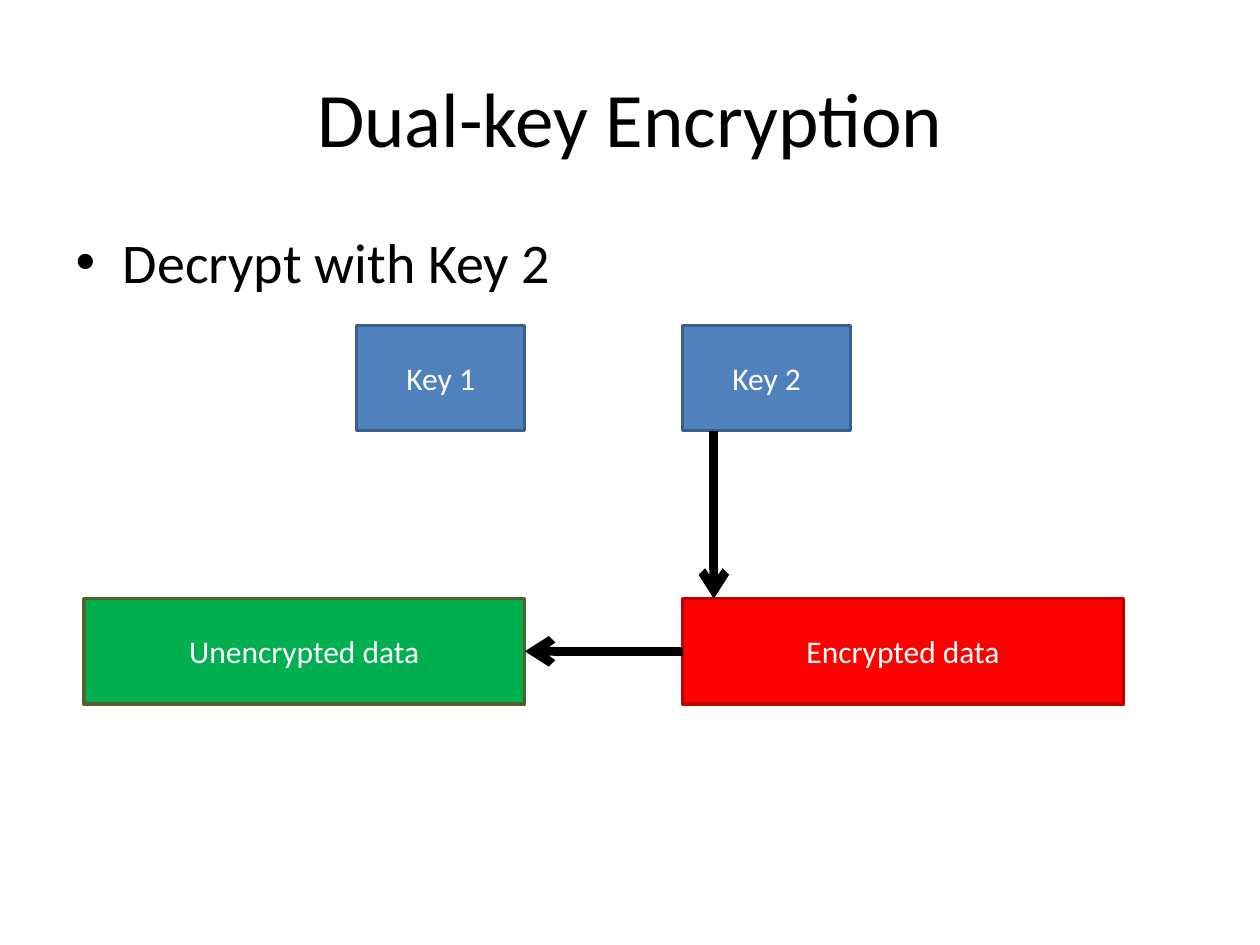
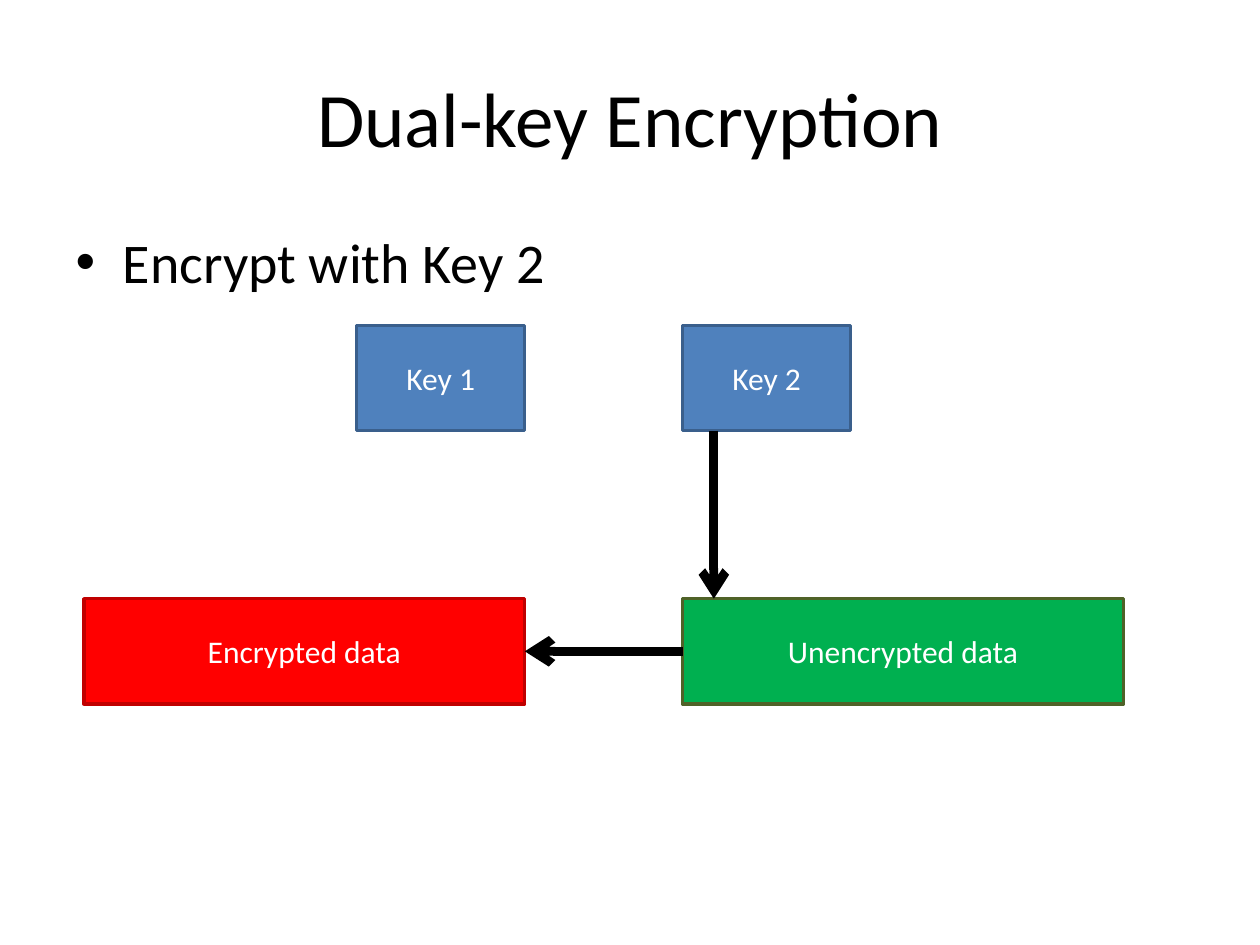
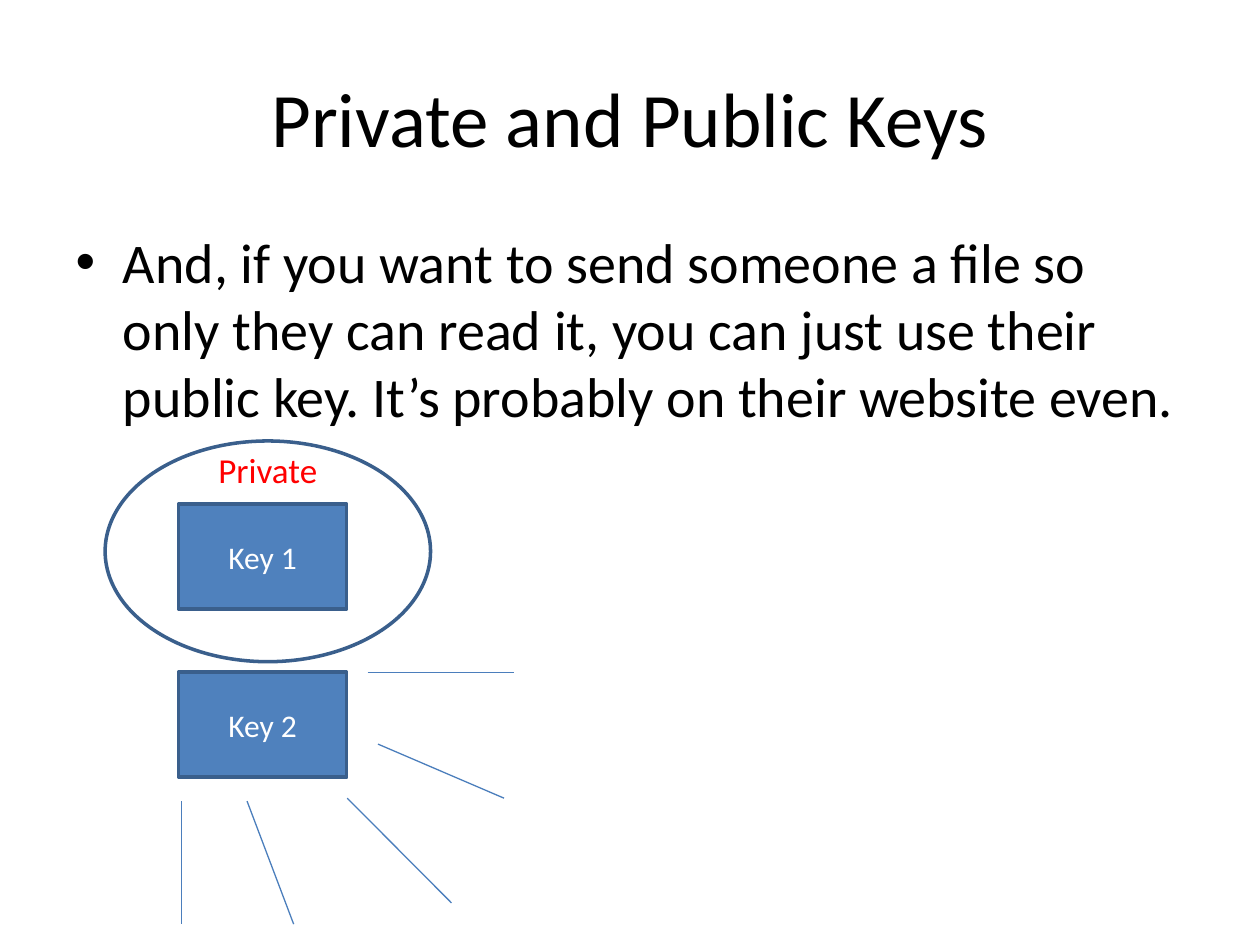
import dataclasses

import lxml.etree
import pptx
import pptx.dml.color
import pptx.enum.shapes
import pptx.enum.text
import pptx.oxml.ns
import pptx.util

Cm = pptx.util.Cm
Shape = pptx.enum.shapes.MSO_SHAPE


@dataclasses.dataclass(frozen=True)
class Theme:
    font: str = "Calibri"
    ink: str = "000000"
    paper: str = "FFFFFF"
    key_fill: str = "4F81BD"
    key_edge: str = "3A5F8C"
    plain_fill: str = "00B050"
    plain_edge: str = "4F6228"
    secret_fill: str = "FF0000"
    secret_edge: str = "C00000"
    ray: str = "4B7EBC"
    title_size: float = 44
    body_size: float = 32
    private_size: float = 20
    box_size: float = 18
    edge_width: float = 2
    arrow_width: float = 5
    ray_width: float = 0.75


def rgb(value):
    return pptx.dml.color.RGBColor.from_string(value)


class Deck:
    key_width, box_height, data_width = 3.39, 2.12, 8.89

    def __init__(self, theme):
        self.theme = theme
        self.deck = pptx.Presentation()
        self.deck.slide_width = Cm(25.4)
        self.deck.slide_height = Cm(19.05)
        self.page = None

    def place(self, shape, left, top, width, height):
        shape.left, shape.top = Cm(left), Cm(top)
        shape.width, shape.height = Cm(width), Cm(height)

    def set_text(self, shape, text, size, color, align):
        shape.text_frame.text = text
        shape.text_frame.word_wrap = True
        for para in shape.text_frame.paragraphs:
            para.alignment = align
            for span in para.runs:
                span.font.name = self.theme.font
                span.font.size = pptx.util.Pt(size)
                span.font.color.rgb = rgb(color)

    def center(self, shape, text, size, color):
        self.set_text(shape, text, size, color, pptx.enum.text.PP_ALIGN.CENTER)
        shape.text_frame.vertical_anchor = pptx.enum.text.MSO_ANCHOR.MIDDLE

    def add_page(self, title, bullet):
        self.page = self.deck.slides.add_slide(self.deck.slide_layouts[1])
        heading, body = self.page.placeholders
        self.place(heading, 1.27, 0.76, 22.86, 3.18)
        self.center(heading, title, self.theme.title_size, self.theme.ink)
        self.place(body, 1.27, 4.45, 22.86, 12.57)
        self.set_text(body, bullet, self.theme.body_size, self.theme.ink,
                      pptx.enum.text.PP_ALIGN.LEFT)

    def outline(self, kind, left, top, width, height, edge):
        shape = self.page.shapes.add_shape(
            kind, Cm(left), Cm(top), Cm(width), Cm(height))
        shape.shadow.inherit = False
        shape.fill.background()
        shape.line.color.rgb = rgb(edge)
        shape.line.width = pptx.util.Pt(self.theme.edge_width)
        return shape

    def box(self, text, left, top, width, fill, edge):
        shape = self.outline(
            Shape.RECTANGLE, left, top, width, self.box_height, edge)
        shape.fill.solid()
        shape.fill.fore_color.rgb = rgb(fill)
        self.center(shape, text, self.theme.box_size, self.theme.paper)

    def key(self, number, left, top):
        self.box(f"Key {number}", left, top, self.key_width,
                 self.theme.key_fill, self.theme.key_edge)

    def data(self, encrypted, left, top):
        if encrypted:
            look = "Encrypted data", self.theme.secret_fill, self.theme.secret_edge
        else:
            look = "Unencrypted data", self.theme.plain_fill, self.theme.plain_edge
        text, fill, edge = look
        self.box(text, left, top, self.data_width, fill, edge)

    def label(self, text, left, top, width, height, size, color):
        box = self.page.shapes.add_textbox(
            Cm(left), Cm(top), Cm(width), Cm(height))
        self.center(box, text, size, color)

    def line(self, start, end, color, width):
        connector = self.page.shapes.add_connector(
            pptx.enum.shapes.MSO_CONNECTOR.STRAIGHT,
            *(Cm(value) for value in (*start, *end)))
        connector.line.color.rgb = rgb(color)
        connector.line.width = pptx.util.Pt(width)
        lxml.etree.SubElement(connector.element.spPr,
                              pptx.oxml.ns.qn("a:effectLst"))
        return connector

    def arrow(self, start, end):
        connector = self.line(start, end, self.theme.ink, self.theme.arrow_width)
        edge = connector.element.spPr.find(pptx.oxml.ns.qn("a:ln"))
        lxml.etree.SubElement(edge, pptx.oxml.ns.qn("a:tailEnd"), type="arrow")

    def ray(self, start, end):
        self.line(start, end, self.theme.ray, self.theme.ray_width)

    def dual_key_page(self, bullet, from_encrypted):
        self.add_page("Dual-key Encryption", bullet)
        key_top, data_top = 6.56, 12.07
        left_end, right_start, key_arrow = 10.58, 13.76, 14.39
        middle = data_top + self.box_height / 2
        self.key(1, left_end - self.key_width, key_top)
        self.key(2, right_start, key_top)
        self.data(not from_encrypted, left_end - self.data_width, data_top)
        self.data(from_encrypted, right_start, data_top)
        self.arrow((right_start, middle), (left_end, middle))
        self.arrow((key_arrow, key_top + self.box_height), (key_arrow, data_top))

    def public_key_page(self):
        self.add_page(
            "Private and Public Keys",
            "And, if you want to send someone a file so only they can read it, "
            "you can just use their public key. It’s probably on their "
            "website even.")
        for number, top in enumerate((10.16, 13.55), 1):
            self.key(number, 3.6, top)
        left, top, width = 2.12, 8.89, 6.56
        self.outline(Shape.OVAL, left, top, width, 4.45, self.theme.key_edge)
        self.label("Private", left, top, width, 1.16,
                   self.theme.private_size, self.theme.secret_fill)
        for start, end in (
            ((7.41, 13.55), (10.37, 13.55)),
            ((7, 16.09), (9.1, 18.2)),
            ((3.66, 16.15), (3.66, 18.63)),
            ((7.62, 15), (10.16, 16.09)),
            ((4.98, 16.15), (5.92, 18.63)),
        ):
            self.ray(start, end)


show = Deck(Theme())
show.dual_key_page("Decrypt with Key 2", from_encrypted=True)
show.dual_key_page("Encrypt with Key 2", from_encrypted=False)
show.public_key_page()
show.deck.save("out.pptx")
